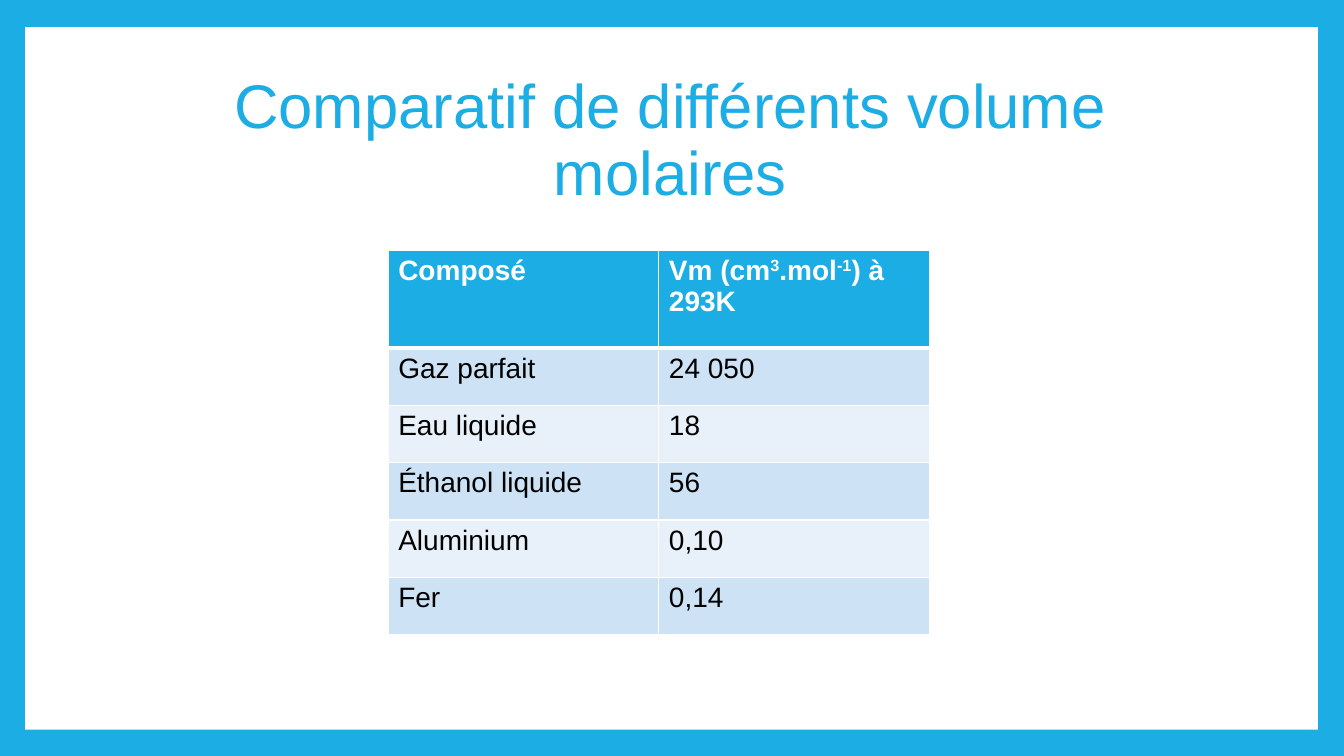
from lxml.etree import SubElement
from pptx import Presentation
from pptx.dml.color import RGBColor
from pptx.enum.shapes import MSO_SHAPE
from pptx.enum.text import MSO_ANCHOR, PP_ALIGN
from pptx.oxml.ns import qn
from pptx.util import Inches, Pt

BLUE, WHITE, BLACK = "1CADE4", "FFFFFF", "000000"
BANDS = ["CDE3F5", "E8F1FA"]
ROWS = [
    ("Composé", "Vm (cm^3^.mol^-1^) à 293K"),
    ("Gaz parfait", "24 050"),
    ("Eau liquide", "18"),
    ("Éthanol liquide", "56"),
    ("Aluminium", "0,10"),
    ("Fer", "0,14"),
]


def paint(fill, color):
    fill.solid()
    fill.fore_color.rgb = RGBColor.from_string(color)


def write(frame, text, size=20, color=BLACK, bold=False,
          align=PP_ALIGN.LEFT, anchor=MSO_ANCHOR.TOP, spacing=1.0):
    frame.word_wrap = True
    frame.vertical_anchor = anchor
    para = frame.paragraphs[0]
    para.alignment = align
    para.line_spacing = spacing
    for i, part in enumerate(text.split("^")):
        run = para.add_run()
        run.text = part
        font = run.font
        font.name, font.size, font.bold = "Arial", Pt(size), bold
        font.color.rgb = RGBColor.from_string(color)
        if i % 2:
            run._r.get_or_add_rPr().set("baseline", "30000")


def border(cell, **widths):
    props = cell._tc.get_or_add_tcPr()
    for side in "LRTB":
        line = SubElement(props, qn(f"a:ln{side}"), w=str(Pt(widths.get(side, 1))))
        fill = SubElement(line, qn("a:solidFill"))
        SubElement(fill, qn("a:srgbClr"), val=WHITE)


def add_title(slide, text):
    title = slide.shapes.title
    title.left, title.top = Inches(1.25), Inches(0.67)
    title.width, title.height = Inches(10.8), Inches(1.48)
    write(title.text_frame, text, size=44, color=BLUE, align=PP_ALIGN.CENTER,
          anchor=MSO_ANCHOR.MIDDLE, spacing=0.9)


def add_panel(slide):
    panel = slide.shapes.add_shape(MSO_SHAPE.RECTANGLE, Inches(0.25), Inches(0.27),
                                   Inches(12.82), Inches(6.97))
    panel.shadow.inherit = False
    paint(panel.fill, WHITE)
    panel.line.fill.background()
    slide.shapes.title.element.addprevious(panel.element)


def add_grid(slide, rows):
    head, step = Inches(0.97), Inches(0.57)
    grid = slide.shapes.add_table(len(rows), 2, Inches(3.85), Inches(2.48), Inches(5.37),
                                  head + step * (len(rows) - 1)).table
    grid.rows[0].height = head
    for r, row in enumerate(rows):
        for c, text in enumerate(row):
            cell = grid.cell(r, c)
            top = r == 0
            border(cell, T=3 if r == 1 else 1, B=3 if top else 1)
            paint(cell.fill, BLUE if top else BANDS[(r - 1) % 2])
            write(cell.text_frame, text, color=WHITE if top else BLACK, bold=top)
        if r:
            grid.rows[r].height = step


def main():
    deck = Presentation()
    deck.slide_width, deck.slide_height = Inches(13.33), Inches(7.5)
    slide = deck.slides.add_slide(deck.slide_layouts[5])
    paint(slide.background.fill, BLUE)
    add_panel(slide)
    add_title(slide, "Comparatif de différents volume molaires")
    add_grid(slide, ROWS)
    deck.save("out.pptx")


if __name__ == "__main__":
    main()
